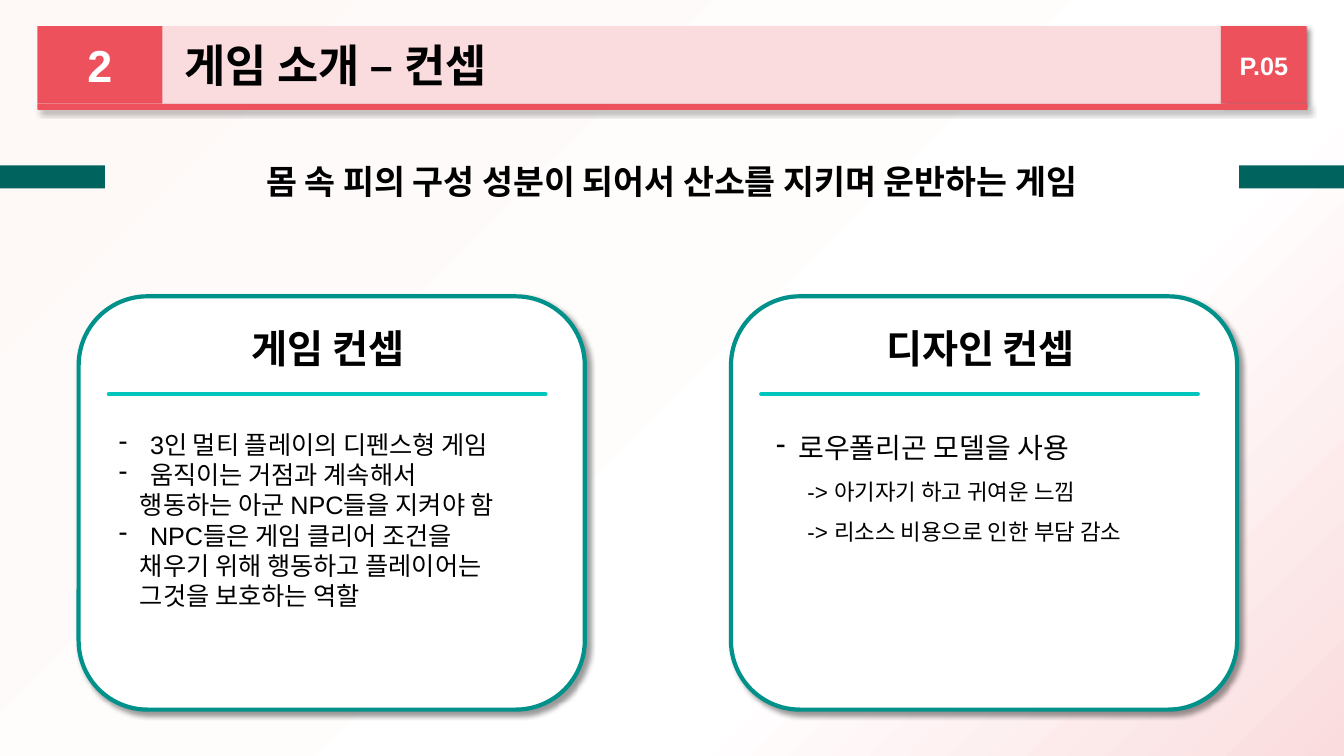
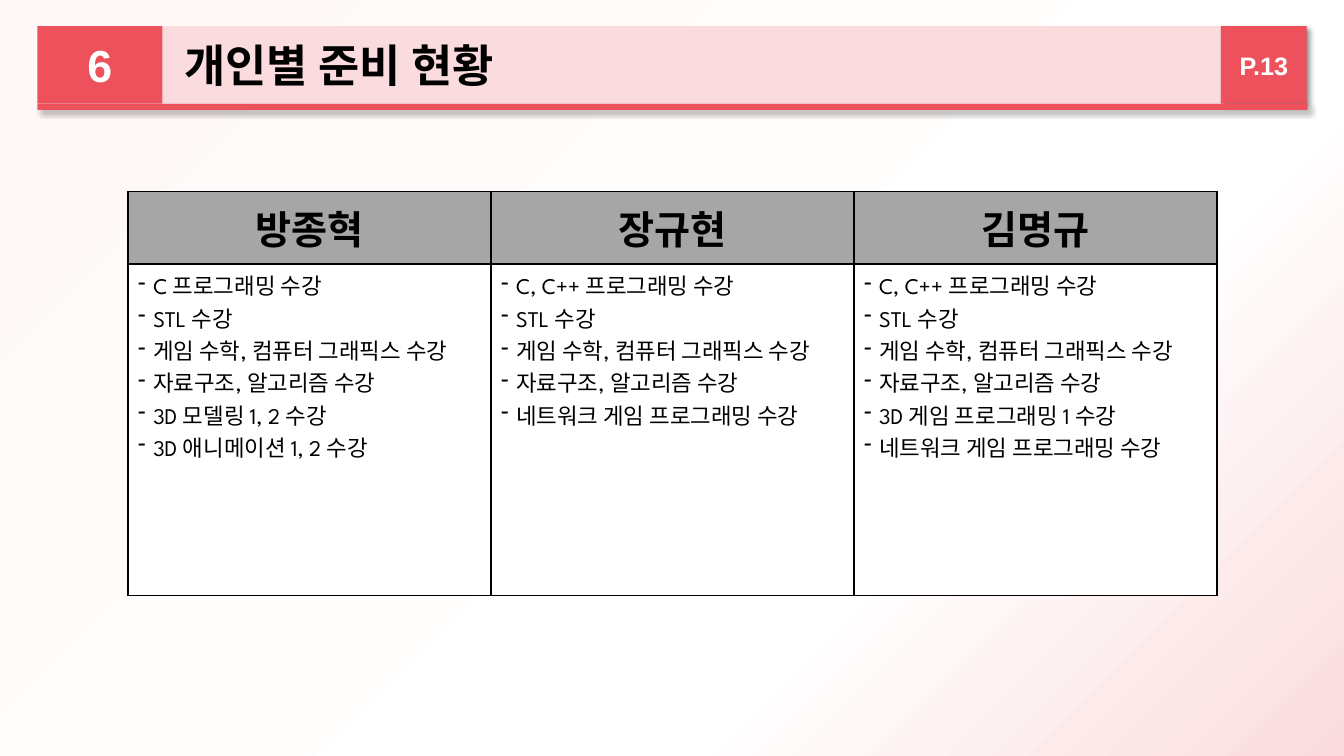
"""Build two game pitch slides with a shared header band."""
import dataclasses
import typing

import lxml.etree
import pptx
import pptx.dml.color
import pptx.enum.shapes
import pptx.enum.text
import pptx.oxml.ns
import pptx.util

Inches = pptx.util.Inches
Pt = pptx.util.Pt
RGBColor = pptx.dml.color.RGBColor
Align = pptx.enum.text.PP_ALIGN
Anchor = pptx.enum.text.MSO_ANCHOR
Fit = pptx.enum.text.MSO_AUTO_SIZE
Shape = pptx.enum.shapes.MSO_SHAPE
qn = pptx.oxml.ns.qn

BLACK = RGBColor(0x00, 0x00, 0x00)
WHITE = RGBColor(0xFF, 0xFF, 0xFF)
CREAM = RGBColor(0xFE, 0xF8, 0xF7)
PINK = RGBColor(0xFB, 0xDC, 0xDE)
RED = RGBColor(0xED, 0x51, 0x5C)
TEAL = RGBColor(0x00, 0x92, 0x8A)
AQUA = RGBColor(0x00, 0xC6, 0xBB)
PINE = RGBColor(0x00, 0x63, 0x5D)
GREY = RGBColor(0xA6, 0xA6, 0xA6)
STOPS = ((0, CREAM), (68, WHITE), (100, PINK))
SANS = "Arial"
SPARTAN = "League Spartan"


@dataclasses.dataclass
class Line:
    """One paragraph with its indents in inches."""
    text: str
    size: int = 18
    left: float = 0
    hang: float = 0
    space: float = 1


@dataclasses.dataclass
class Card:
    """A rounded card with a heading and its lines."""
    left: float
    head: str
    inset: float
    lines: list[Line]


@dataclasses.dataclass
class Person:
    """A table column with a name and courses."""
    name: str
    tasks: list[str]


CARDS = [
    Card(0.78, "게임 컨셉", 0.3, [
        Line("3인 멀티 플레이의 디펜스형 게임", left=0.31, hang=0.31, space=1.5),
        Line("움직이는 거점과 계속해서", left=0.31, hang=0.31),
        Line("행동하는 아군 NPC들을 지켜야 함", left=0.21),
        Line("NPC들은 게임 클리어 조건을", left=0.31, hang=0.31),
        Line("채우기 위해 행동하고 플레이어는", left=0.21),
        Line("그것을 보호하는 역할", left=0.21),
    ]),
    Card(7.25, "디자인 컨셉", 0.35, [
        Line("로우폴리곤 모델을 사용", 20, 0.22, 0.22, 1.5),
        Line("-> 아기자기 하고 귀여운 느낌", 16, 0.31, space=1.5),
        Line("-> 리소스 비용으로 인한 부담 감소", 16, 0.31, space=1.5),
    ]),
]

STL = "STL 수강"
MATH = "게임 수학, 컴퓨터 그래픽스 수강"
DATA = "자료구조, 알고리즘 수강"
NET = "네트워크 게임 프로그래밍 수강"
CPP = "C, C++ 프로그래밍 수강"
TEAM = [
    Person("방종혁", ["C 프로그래밍 수강", STL, MATH, DATA,
                   "3D 모델링 1, 2 수강", "3D 애니메이션 1, 2 수강"]),
    Person("장규현", [CPP, STL, MATH, DATA, NET]),
    Person("김명규", [CPP, STL, MATH, DATA, "3D 게임 프로그래밍 1 수강", NET]),
]


def node(parent: typing.Any, tag: str, **attrs: typing.Any) -> typing.Any:
    """Append an XML child with attributes."""
    return lxml.etree.SubElement(
        parent, qn(tag), {key: str(value) for key, value in attrs.items()})


def write(frame: typing.Any, lines: list[Line], *, color: RGBColor = BLACK,
          bold: bool = False, align: Align = Align.LEFT, font: str = SANS) -> None:
    """Fill a text frame with formatted lines."""
    for index, line in enumerate(lines):
        para = frame.paragraphs[0] if index == 0 else frame.add_paragraph()
        para.alignment = align
        if line.space != 1:
            para.line_spacing = line.space
        if line.left:
            props = para._p.get_or_add_pPr()
            props.set("marL", str(Inches(line.left)))
            props.set("indent", str(-Inches(line.hang)))
            if line.hang:
                node(props, "a:buChar", char="-")
        run = para.add_run()
        run.text = line.text
        run.font.size = Pt(line.size)
        run.font.name = font
        run.font.bold = bold
        run.font.color.rgb = color


def paint(shape: typing.Any, fill: RGBColor) -> None:
    """Give a shape a plain fill."""
    shape.fill.solid()
    shape.fill.fore_color.rgb = fill


def block(slide: typing.Any, left: float, top: float, width: float, height: float,
          fill: RGBColor, *, kind: Shape = Shape.RECTANGLE,
          edge: RGBColor | None = None, shade: bool = False) -> typing.Any:
    """Draw a filled shape, with an outline or shadow if asked."""
    shape = slide.shapes.add_shape(
        kind, Inches(left), Inches(top), Inches(width), Inches(height))
    paint(shape, fill)
    if edge is None:
        shape.line.fill.background()
    else:
        shape.line.color.rgb = edge
        shape.line.width = Pt(3)
    shape.shadow.inherit = False
    if shade:
        glow = node(shape.element.spPr.find(qn("a:effectLst")), "a:outerShdw",
                    blurRad=Pt(4), dist=Pt(3), dir=45 * 60000,
                    algn="tl", rotWithShape=0)
        tint = node(glow, "a:srgbClr", val=BLACK)
        node(tint, "a:alpha", val=40000)
    return shape


def label(slide: typing.Any, left: float, top: float, width: float, height: float,
          lines: list[Line], **style: typing.Any) -> None:
    """Add a wrapped text box."""
    box = slide.shapes.add_textbox(
        Inches(left), Inches(top), Inches(width), Inches(height))
    box.text_frame.word_wrap = True
    box.text_frame.auto_size = Fit.SHAPE_TO_FIT_TEXT
    write(box.text_frame, lines, **style)


def badge(slide: typing.Any, left: float, width: float, line: Line,
          shade: bool = False) -> None:
    """Draw a red header box with white text."""
    shape = block(slide, left, 0.26, width, 0.77, RED, shade=shade)
    shape.text_frame.vertical_anchor = Anchor.MIDDLE
    write(shape.text_frame, [line], color=WHITE, bold=True, align=Align.CENTER)


def start(deck: typing.Any, part: str, title: str, page: str) -> typing.Any:
    """Add a slide with its header band."""
    slide = deck.slides.add_slide(deck.slide_layouts.get_by_name("Title Only"))
    head = slide.shapes.title
    head.left, head.top = Inches(1.61), Inches(0.26)
    head.width, head.height = Inches(11.36), Inches(0.77)
    paint(head, PINK)
    frame = head.text_frame
    frame.auto_size = Fit.NONE
    frame.vertical_anchor = Anchor.MIDDLE
    frame.margin_left = Inches(0.22)
    write(frame, [Line(title, 32)], bold=True)
    badge(slide, 12.11, 0.85, Line(page), shade=True)
    badge(slide, 0.37, 1.24, Line(part, 32))
    block(slide, 0.37, 1.03, 12.6, 0.06, RED, kind=Shape.ROUNDED_RECTANGLE, shade=True)
    return slide


def panel(slide: typing.Any, card: Card) -> None:
    """Draw a card with its heading, rule and text."""
    block(slide, card.left, 2.94, 5.02, 4.1, WHITE,
          kind=Shape.ROUNDED_RECTANGLE, edge=TEAL, shade=True)
    left = card.left + 0.3
    rule = slide.shapes.add_connector(
        pptx.enum.shapes.MSO_CONNECTOR.STRAIGHT,
        Inches(left), Inches(3.91), Inches(left + 4.33), Inches(3.91))
    rule.line.color.rgb = AQUA
    rule.line.width = Pt(3)
    props = rule.element.spPr
    props.find(qn("a:ln")).set("cap", "rnd")
    node(props, "a:effectLst")
    label(slide, card.left + 1.12, 3.17, 2.71, 0.57, [Line(card.head, 28)],
          bold=True, align=Align.CENTER)
    label(slide, card.left + card.inset, 4.06, 4.33, 2.07, card.lines)


def border(cell: typing.Any) -> None:
    """Put a thin black line on each side of a cell."""
    props = cell._tc.get_or_add_tcPr()
    for side in ("L", "R", "T", "B"):
        edge = node(props, f"a:ln{side}", w=Pt(1))
        node(node(edge, "a:solidFill"), "a:srgbClr", val=BLACK)


def chart(slide: typing.Any, team: list[Person]) -> None:
    """Draw the table of courses per person."""
    grid = slide.shapes.add_table(
        2, len(team), Inches(1.27), Inches(1.9), Inches(10.8), Inches(4.01)).table
    grid.first_row = grid.horz_banding = False
    grid.rows[0].height = Inches(0.72)
    grid.rows[1].height = Inches(3.29)
    for col, person in enumerate(team):
        grid.columns[col].width = Inches(3.6)
        head, body = grid.cell(0, col), grid.cell(1, col)
        for cell, fill in ((head, GREY), (body, WHITE)):
            border(cell)
            paint(cell, fill)
        head.vertical_anchor = Anchor.MIDDLE
        write(head.text_frame, [Line(person.name, 28)], bold=True,
              align=Align.CENTER, font=SPARTAN)
        write(body.text_frame, [Line(task, 16, 0.15, 0.15) for task in person.tasks],
              font=SPARTAN)


def backdrop(deck: typing.Any) -> None:
    """Set the diagonal gradient shared by all slides."""
    master = deck.slide_master
    master.background.fill.gradient()
    fade = master.element.find(".//" + qn("a:gradFill"))
    stops = fade.find(qn("a:gsLst"))
    for stop in list(stops):
        stops.remove(stop)
    for place, color in STOPS:
        node(node(stops, "a:gs", pos=place * 1000), "a:srgbClr", val=color)
    slant = fade.find(qn("a:lin"))
    slant.set("ang", str(45 * 60000))
    slant.set("scaled", "0")


def main() -> None:
    """Build and save the deck."""
    deck = pptx.Presentation()
    deck.slide_width, deck.slide_height = Inches(13.33), Inches(7.5)
    backdrop(deck)

    slide = start(deck, "2", "게임 소개 – 컨셉", "P.05")
    for card in CARDS:
        panel(slide, card)
    label(slide, 0.65, 1.55, 12.02, 0.5,
          [Line("몸 속 피의 구성 성분이 되어서 산소를 지키며 운반하는 게임", 24)],
          bold=True, align=Align.CENTER)
    for left in (0, 12.29):
        block(slide, left, 1.64, 1.04, 0.23, PINE)

    chart(start(deck, "6", "개인별 준비 현황", "P.13"), TEAM)
    deck.save("out.pptx")


if __name__ == "__main__":
    main()
